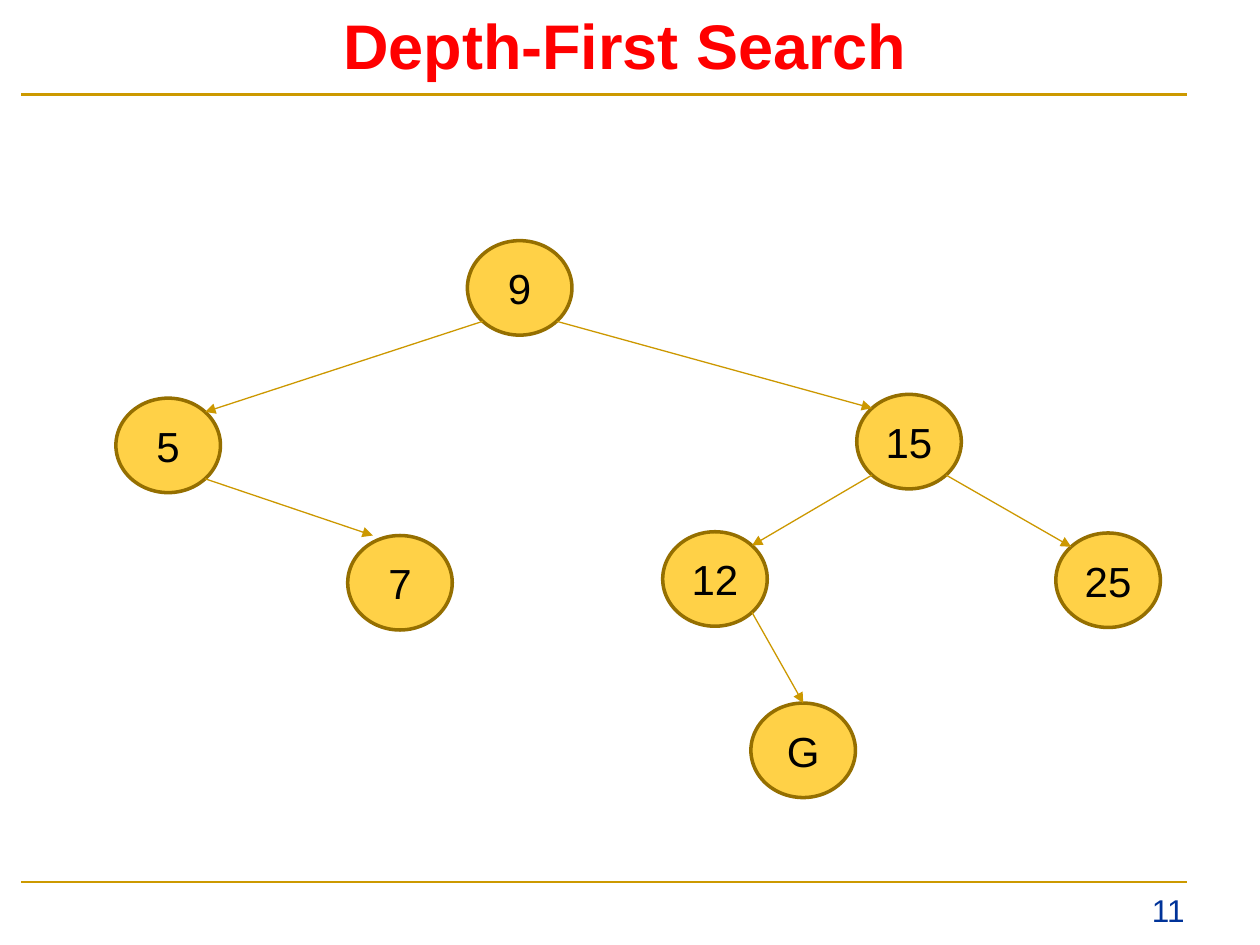
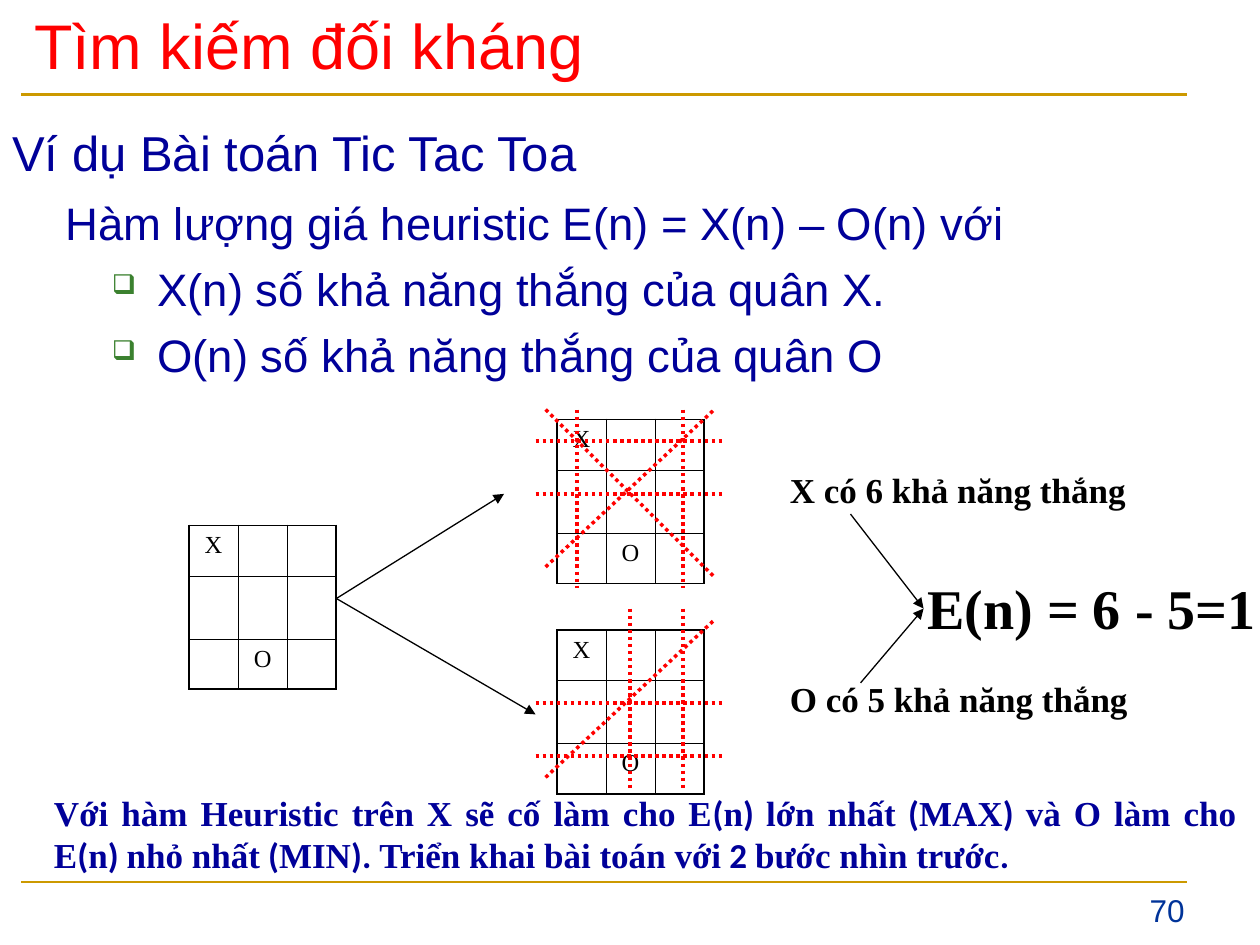
import itertools
import pptx
import pptx.util
import pptx.dml.color
import pptx.enum.dml
import pptx.enum.shapes
import pptx.enum.text
import pptx.oxml.ns
import pptx.oxml.xmlchemy

Inches = pptx.util.Inches
Pt = pptx.util.Pt
Align = pptx.enum.text.PP_ALIGN
Anchor = pptx.enum.text.MSO_ANCHOR

GOLD, EDGE, RIM, DISC = "CC9900", "CC9800", "956F00", "FFD147"
RED, NAVY, BLUE, BLACK, GREEN = "FF0000", "000099", "003399", "000000", "3B812F"
SANS, SERIF, PLAIN = "Arial", "Times New Roman", "Calibri"

RULES = [(7, 1.5), (0.75, 2.25)]

NODE = (0.83, 0.75)
NODES = {
    "9": (3.71, 1.91),
    "5": (0.92, 3.16),
    "15": (6.8, 3.13),
    "7": (2.76, 4.25),
    "12": (5.26, 4.22),
    "25": (8.38, 4.23),
    "G": (5.96, 5.58),
}
DIAG = 0.5 ** 0.5
SPOTS = {
    "left low": (-DIAG, DIAG),
    "right low": (DIAG, DIAG),
    "left high": (-DIAG, -DIAG),
    "right high": (DIAG, -DIAG),
    "top": (0, -1),
    "near top": (-0.52, -1),
}
EDGES = [
    ("9", "left low", "5", "right high"),
    ("9", "right low", "15", "left high"),
    ("5", "right low", "7", "near top"),
    ("15", "left low", "12", "right high"),
    ("15", "right low", "25", "left high"),
    ("12", "right low", "G", "top"),
]

INTRO = ["Ví dụ Bài toán Tic Tac Toa"]
SCORE = ["Hàm lượng giá heuristic E(n) = X(n) – O(n) với"]
POINTS = ["X(n) số khả năng thắng của quân X.", "O(n) số khả năng thắng của quân O"]
BOARDS = [(1.5, 4.17), (4.42, 3.33), (4.42, 5)]
MARKS = {(0, 0): "X", (2, 1): "O"}
COLS, ROWS = [0.39] * 3, [0.39, 0.5, 0.39]
SPAN = (4.25, 5.75)
WINS = [
    {"span": (3.25, 4.67), "rows": [3.5, 3.92], "cols": [4.58, 5.42],
     "diags": [(4.33, 3.25, 5.67, 4.58), (4.33, 4.5, 5.67, 3.25)]},
    {"span": (4.83, 6.25), "rows": [5.58, 6], "cols": [5, 5.42],
     "diags": [(4.33, 6.17, 5.67, 4.92)]},
]
ARROWS = [
    (2.67, 4.75, 4, 3.92),
    (2.67, 4.75, 4.25, 5.67),
    (6.75, 4.08, 7.33, 4.83),
    (6.83, 5.42, 7.33, 4.83),
]
LABELS = [
    ("X có 6 khả năng thắng", (6.17, 3.67, 3.17, 0.44), 20, Align.LEFT),
    ("O có 5 khả năng thắng", (6.17, 5.33, 3.17, 0.44), 20, Align.LEFT),
    ("E(n) = 6 - 5=1", (7.08, 4.5, 3.17, 0.64), 32, Align.CENTER),
]
NOTE = [
    "Với hàm Heuristic trên X sẽ cố làm cho E", "(", "n", ") ", "lớn nhất",
    " (", "MAX", ") ", "và O làm cho E", "(", "n", ") ", "nhỏ nhất", " (",
    "MIN", "). ", "Triển khai bài toán với", " 2 ", "bước nhìn trước", ".",
]


def paint(code):
    return pptx.dml.color.RGBColor.from_string(code)


def place(box):
    return [Inches(n) for n in box]


def node(tag, up, **attrs):
    item = pptx.oxml.xmlchemy.OxmlElement(tag)
    for key, value in attrs.items():
        item.set(key, str(value))
    if up is not None:
        up.append(item)
    return item


def style(par, size, code, face=None, bold=False, align=Align.LEFT):
    par.alignment = align
    font = par.font
    font.size, font.bold = Pt(size), bold
    font.color.rgb = paint(code)
    if face:
        font.name = face


def indent(par, left, hang=0):
    props = par._p.get_or_add_pPr()
    props.set("marL", str(Inches(left)))
    props.set("indent", str(Inches(hang)))
    return props


def bullet(par):
    props = indent(par, 0.73, -0.36)
    node("a:srgbClr", node("a:buClr", props), val=GREEN)
    node("a:buSzPct", props, val=60000)
    node("a:buChar", props, char="❑")


def write(slide, box, lines, size, code, face, bold=False, align=Align.LEFT, gap=0, dots=()):
    frame = slide.shapes.add_textbox(*place(box)).text_frame
    frame.word_wrap = True
    for num, line in enumerate([*lines, *dots]):
        par = frame.add_paragraph() if num else frame.paragraphs[0]
        par.text = line
        if num:
            par.space_before = Pt(gap)
        if num >= len(lines):
            bullet(par)
        style(par, size, code, face, bold, align)
    return frame


def draw(slide, ends, code, width, head=False, dash=False):
    kind = pptx.enum.shapes.MSO_CONNECTOR.STRAIGHT
    link = slide.shapes.add_connector(kind, *place(ends))
    link.line.color.rgb = paint(code)
    link.line.width = Pt(width)
    if dash:
        link.line.dash_style = pptx.enum.dml.MSO_LINE.ROUND_DOT
    props = link._element.spPr
    if head:
        node("a:tailEnd", props.find(pptx.oxml.ns.qn("a:ln")), type="triangle")
    node("a:effectLst", props)


def start(deck, title, box, page, bold=False, align=Align.LEFT, left=0):
    slide = deck.slides.add_slide(deck.slide_layouts[5])
    for y, width in RULES:
        draw(slide, (0.17, y, 9.42, y), GOLD, width)
    write(slide, (7.67, 7.02, 1.83, 0.4), [page], 18, BLUE, SANS, align=Align.RIGHT)
    head = slide.shapes.title
    head.left, head.top, head.width, head.height = place(box)
    frame = head.text_frame
    frame.text = title
    frame.auto_size = pptx.enum.text.MSO_AUTO_SIZE.NONE
    frame.vertical_anchor = Anchor.TOP
    par = frame.paragraphs[0]
    indent(par, left)
    style(par, 36, RED, SANS, bold, align)
    return slide


def spot(name, where):
    return [at + size / 2 * (1 + part)
            for at, size, part in zip(NODES[name], NODE, SPOTS[where])]


def tree(slide):
    for name, at in NODES.items():
        disc = slide.shapes.add_shape(pptx.enum.shapes.MSO_SHAPE.OVAL, *place(at + NODE))
        disc.shadow.inherit = False
        disc.fill.solid()
        disc.fill.fore_color.rgb = paint(DISC)
        disc.line.color.rgb = paint(RIM)
        disc.line.width = Pt(2)
        frame = disc.text_frame
        frame.text = name
        frame.vertical_anchor = Anchor.MIDDLE
        style(frame.paragraphs[0], 24, BLACK, SANS, align=Align.CENTER)
    for first, out, last, into in EDGES:
        ends = spot(first, out) + spot(last, into)
        draw(slide, ends, EDGE, 0.75, head=True)


def border(cell, row, col):
    props = cell._tc.get_or_add_tcPr()
    outer = {"L": col == 0, "R": col == 2, "T": row == 0, "B": row == 2}
    for num, (side, thick) in enumerate(outer.items()):
        line = node("a:ln" + side, None, w=Pt(1.08 if thick else 0.45))
        node("a:srgbClr", node("a:solidFill", line), val=BLACK)
        props.insert(num, line)


def board(slide, at):
    box = place(at + (sum(COLS), sum(ROWS)))
    grid = slide.shapes.add_table(3, 3, *box).table
    grid.first_row = grid.horz_banding = False
    for part, size in zip([*grid.columns], COLS):
        part.width = Inches(size)
    for part, size in zip([*grid.rows], ROWS):
        part.height = Inches(size)
    for row, col in itertools.product(range(3), repeat=2):
        cell = grid.cell(row, col)
        cell.fill.background()
        border(cell, row, col)
        if (row, col) in MARKS:
            cell.text = MARKS[row, col]
            style(cell.text_frame.paragraphs[0], 14, BLACK, SERIF, align=Align.CENTER)


def strike(slide, wins):
    low, high = wins["span"]
    lines = [(SPAN[0], y, SPAN[1], y) for y in wins["rows"]]
    lines += [(x, low, x, high) for x in wins["cols"]]
    for ends in lines + wins["diags"]:
        draw(slide, ends, RED, 2, dash=True)


def game(slide):
    write(slide, (0, 0.92, 10, 0.6), INTRO, 28, NAVY, SANS)
    write(slide, (0.42, 1.5, 10.25, 1.66), SCORE, 26, NAVY, SANS, gap=6.5, dots=POINTS)
    for at in BOARDS:
        board(slide, at)
    for wins in WINS:
        strike(slide, wins)
    for ends in ARROWS:
        draw(slide, ends, BLACK, 0.75, head=True)
    for text, box, size, align in LABELS:
        write(slide, box, [text], size, BLACK, SERIF, True, align)
    frame = write(slide, (0.33, 6.23, 9.58, 0.77), [""], 20, NAVY, None, True, Align.JUSTIFY)
    for text, face in zip(NOTE, itertools.cycle([SERIF, PLAIN])):
        run = frame.paragraphs[0].add_run()
        run.text = text
        run.font.name = face


def main():
    deck = pptx.Presentation()
    deck.slide_width, deck.slide_height = Inches(10), Inches(7.5)
    tree(start(deck, "Depth-First Search", (0, 0, 9.92, 0.7), "11", True, Align.CENTER))
    game(start(deck, "Tìm kiếm đối kháng", (-0.33, 0, 11, 0.7), "70", left=0.5))
    deck.save("out.pptx")


if __name__ == "__main__":
    main()
